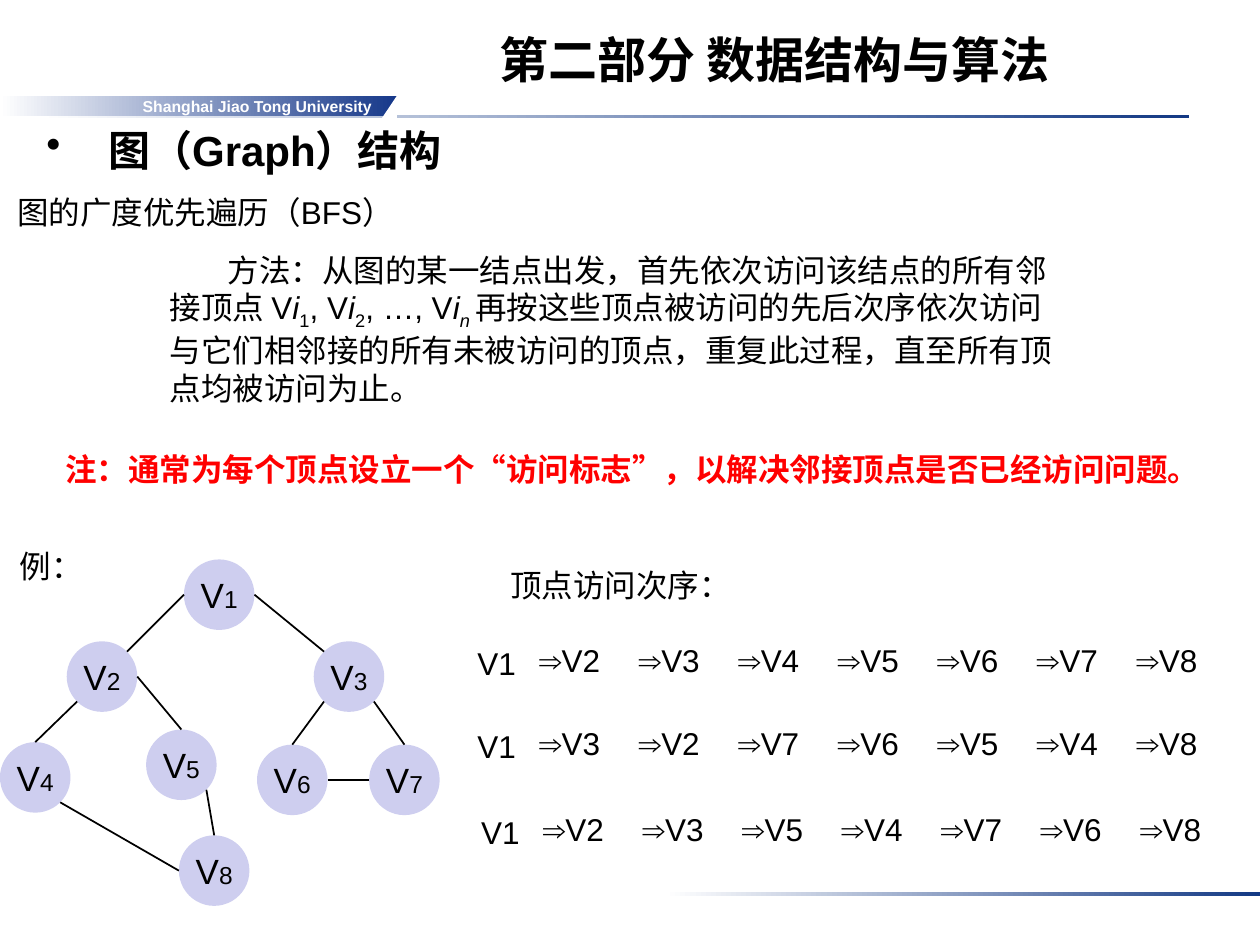
"""Builds a slide on breadth-first graph traversal."""
from math import cos, radians, sin

from lxml.etree import SubElement
from pptx import Presentation
from pptx.dml.color import RGBColor
from pptx.enum.shapes import MSO_CONNECTOR, MSO_SHAPE
from pptx.enum.text import MSO_ANCHOR, MSO_AUTO_SIZE, PP_ALIGN
from pptx.oxml.ns import qn
from pptx.util import Pt

EMU_PER_PX = 9144
NODE_SIZE = 56
NODES = {
    "1": (146, 444), "2": (53, 509), "4": (0, 589), "5": (116, 579),
    "3": (249, 509), "7": (293, 591), "6": (204, 591), "8": (142, 663),
}
TOP, TOP_LEFT, LEFT, BOTTOM_LEFT, BOTTOM_RIGHT, RIGHT, TOP_RIGHT = 270, 225, 180, 135, 45, 0, 315
EDGES = [
    ("3", BOTTOM_RIGHT, "7", TOP), ("3", BOTTOM_LEFT, "6", TOP),
    ("1", RIGHT, "3", TOP_LEFT), ("1", LEFT, "2", TOP_RIGHT),
    ("2", BOTTOM_LEFT, "4", TOP), ("2", RIGHT, "5", TOP),
    ("4", BOTTOM_RIGHT, "8", LEFT), ("5", BOTTOM_RIGHT, "8", TOP),
    ("7", LEFT, "6", RIGHT),
]
VISIT_ORDERS = [(369, 504, "2345678"), (369, 570, "3276548"), (372, 638, "2354768")]
FIRST_STEP, STEP_GAP = 49, 79
PLAIN, ITALIC, SUB, ITALIC_SUB = (False, 0), (True, 0), (False, -25), (True, -25)
METHOD = [
    [("方法：从图的某一结点出发，首先依次访问该结点的所有邻", PLAIN)],
    [("接顶点 V", PLAIN), ("i", ITALIC), ("1", SUB), (", V", PLAIN), ("i", ITALIC),
     ("2", SUB), (", …, V", PLAIN), ("i", ITALIC), ("n ", ITALIC_SUB),
     ("再按这些顶点被访问的先后次序依次访问", PLAIN)],
    [("与它们相邻接的所有未被访问的顶点，重复此过程，直至所有顶", PLAIN)],
    [("点均被访问为止。", PLAIN)],
]


def px(length):
    return round(length * EMU_PER_PX)


def color(value):
    return RGBColor.from_string(value)


class Slide:
    """Holds the style and the current page, and draws each kind of element."""

    font = "Arial"
    ink = "000000"
    node_fill = "CECEEF"

    def __init__(self, deck):
        self.page = deck.slides.add_slide(deck.slide_layouts[6])

    def style(self, span, size, ink=None, bold=False):
        span.font.name = self.font
        span.font.size = Pt(size)
        span.font.bold = bold
        span.font.color.rgb = color(ink or self.ink)

    def text(self, at, words, size=18, ink=None, bold=False, wrap=False, grow=True,
             anchor=MSO_ANCHOR.TOP, align=PP_ALIGN.LEFT):
        frame = self.page.shapes.add_textbox(*map(px, at)).text_frame
        frame.text = words
        frame.word_wrap = wrap
        frame.auto_size = MSO_AUTO_SIZE.SHAPE_TO_FIT_TEXT if grow else MSO_AUTO_SIZE.NONE
        frame.vertical_anchor = anchor
        para = frame.paragraphs[0]
        para.alignment = align
        for span in para.runs:
            self.style(span, size, ink, bold)
        return frame

    def rich_text(self, at, paragraphs, first_indent):
        frame = self.text(at, "", wrap=True)
        for index, spans in enumerate(paragraphs):
            para = frame.add_paragraph() if index else frame.paragraphs[0]
            for words, (italic, baseline) in spans:
                span = para.add_run()
                span.text = words
                self.style(span, 18)
                span.font.italic = italic
                if baseline:
                    span.font._element.set("baseline", str(baseline * 1000))
        frame.paragraphs[0]._p.get_or_add_pPr().set("indent", str(px(first_indent)))

    def bullet(self, at, words, size, indent):
        para = self.text(at, words, size, bold=True, wrap=True, grow=False).paragraphs[0]
        properties = para._p.get_or_add_pPr()
        properties.set("marL", str(px(indent)))
        properties.set("indent", str(-px(indent)))
        SubElement(properties, qn("a:buChar")).set("char", "•")

    def shape(self, kind, at, fill):
        shape = self.page.shapes.add_shape(kind, *map(px, at))
        shape.shadow.inherit = False
        shape.line.fill.background()
        shape.fill.solid()
        shape.fill.fore_color.rgb = color(fill)
        return shape

    def gradient_bar(self, at, end):
        bar = self.shape(MSO_SHAPE.RECTANGLE, at, end)
        bar.fill.gradient()
        bar.fill.gradient_angle = 0
        for stop, value in zip(bar.fill.gradient_stops, ("FFFFFF", end)):
            stop.color.rgb = color(value)
        return bar

    def banner(self, at, words):
        frame = self.gradient_bar(at, "16388A").text_frame
        frame.text = words
        frame.word_wrap = False
        frame.margin_right = px(20)
        frame.vertical_anchor = MSO_ANCHOR.MIDDLE
        para = frame.paragraphs[0]
        para.alignment = PP_ALIGN.RIGHT
        self.style(para.runs[0], 9, "FFFFFF", bold=True)

    def node(self, number, left, top):
        circle = self.shape(MSO_SHAPE.OVAL, (left, top, NODE_SIZE, NODE_SIZE), self.node_fill)
        frame = circle.text_frame
        frame.word_wrap = False
        frame.vertical_anchor = MSO_ANCHOR.MIDDLE
        para = frame.paragraphs[0]
        para.alignment = PP_ALIGN.CENTER
        for words, size in (("V", 20), (number, 14)):
            span = para.add_run()
            span.text = words
            self.style(span, size)

    def edge(self, start, start_angle, end, end_angle):
        ends = []
        for number, angle in ((start, start_angle), (end, end_angle)):
            left, top = NODES[number]
            radius = NODE_SIZE / 2
            ends.append(px(left + radius + radius * cos(radians(angle))))
            ends.append(px(top + radius + radius * sin(radians(angle))))
        line = self.page.shapes.add_connector(MSO_CONNECTOR.STRAIGHT, *ends)
        line.line.color.rgb = color(self.ink)
        line.line.width = Pt(1)
        SubElement(line._element.spPr, qn("a:effectLst"))


def main():
    deck = Presentation()
    deck.slide_width, deck.slide_height = px(1000), px(750)
    slide = Slide(deck)

    slide.gradient_bar((31, 91, 913, 3), "133984")
    slide.gradient_bar((528, 708, 472, 3), "133984")
    slide.banner((0, 76, 315, 16), "Shanghai Jiao Tong University")
    corner = slide.shape(MSO_SHAPE.RIGHT_TRIANGLE, (303, 76, 12, 18), "FFFFFF")
    corner._element.spPr.xfrm.set("flipH", "1")

    slide.text((259, 0, 711, 75), "第二部分 数据结构与算法", 28, bold=True, wrap=True,
               grow=False, anchor=MSO_ANCHOR.BOTTOM, align=PP_ALIGN.CENTER)
    slide.bullet((27, 94, 925, 591), "图（Graph）结构", 24, 49)
    slide.text((4, 148, 330, 40), "图的广度优先遍历（BFS）")
    slide.text((6, 429, 82, 40), "例：", anchor=MSO_ANCHOR.MIDDLE)
    slide.text((395, 444, 200, 40), "顶点访问次序：")

    for number, (left, top) in NODES.items():
        slide.node(number, left, top)
    for edge in EDGES:
        slide.edge(*edge)

    note = slide.text((42, 345, 935, 48),
                      "注：通常为每个顶点设立一个“访问标志”，以解决邻接顶点是否已经访问问题。",
                      ink="FF0000", bold=True, wrap=True)
    note.paragraphs[0].line_spacing = 1.25
    slide.rich_text((125, 194, 729, 134), METHOD, 46)

    for left, top, order in VISIT_ORDERS:
        slide.text((left, top + 2, 57, 40), "V1")
        for index, number in enumerate(order):
            step_left = left + FIRST_STEP + index * STEP_GAP
            slide.text((step_left, top, 77, 40), f"⇒V{number}")

    deck.save("out.pptx")


if __name__ == "__main__":
    main()
